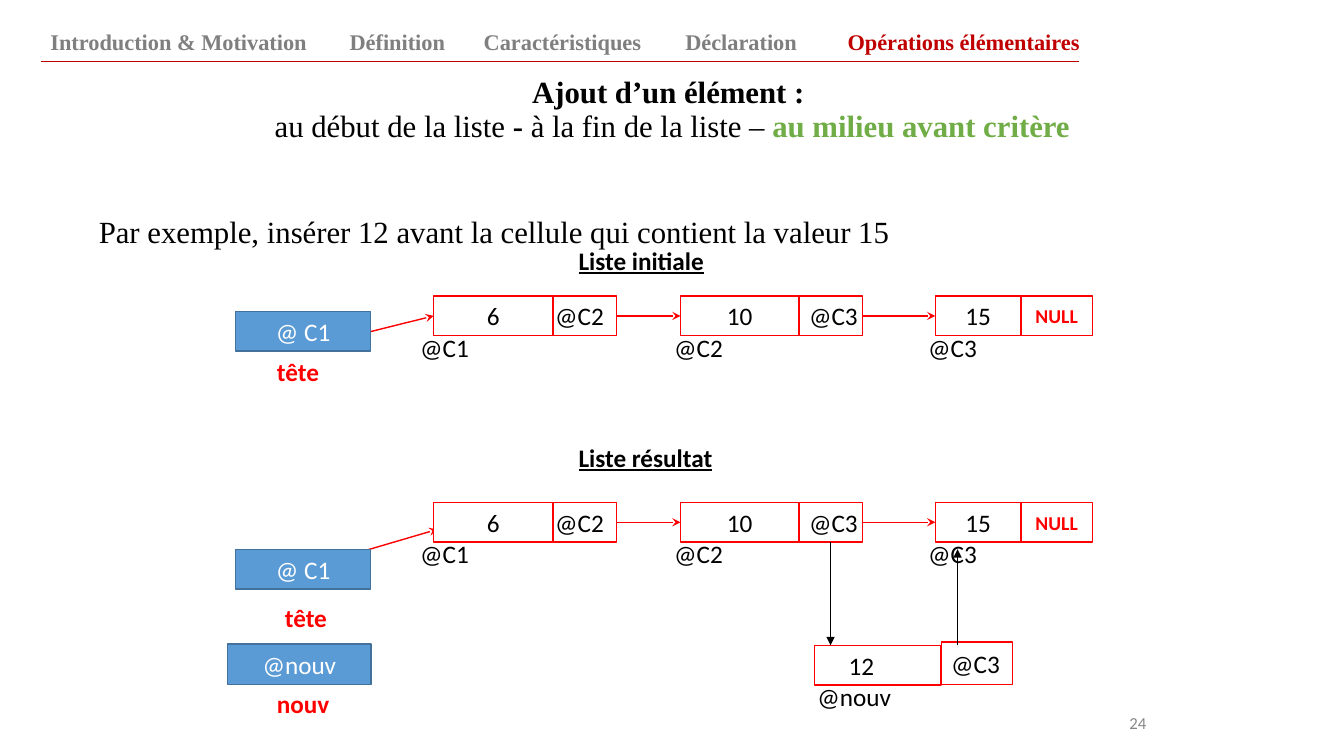
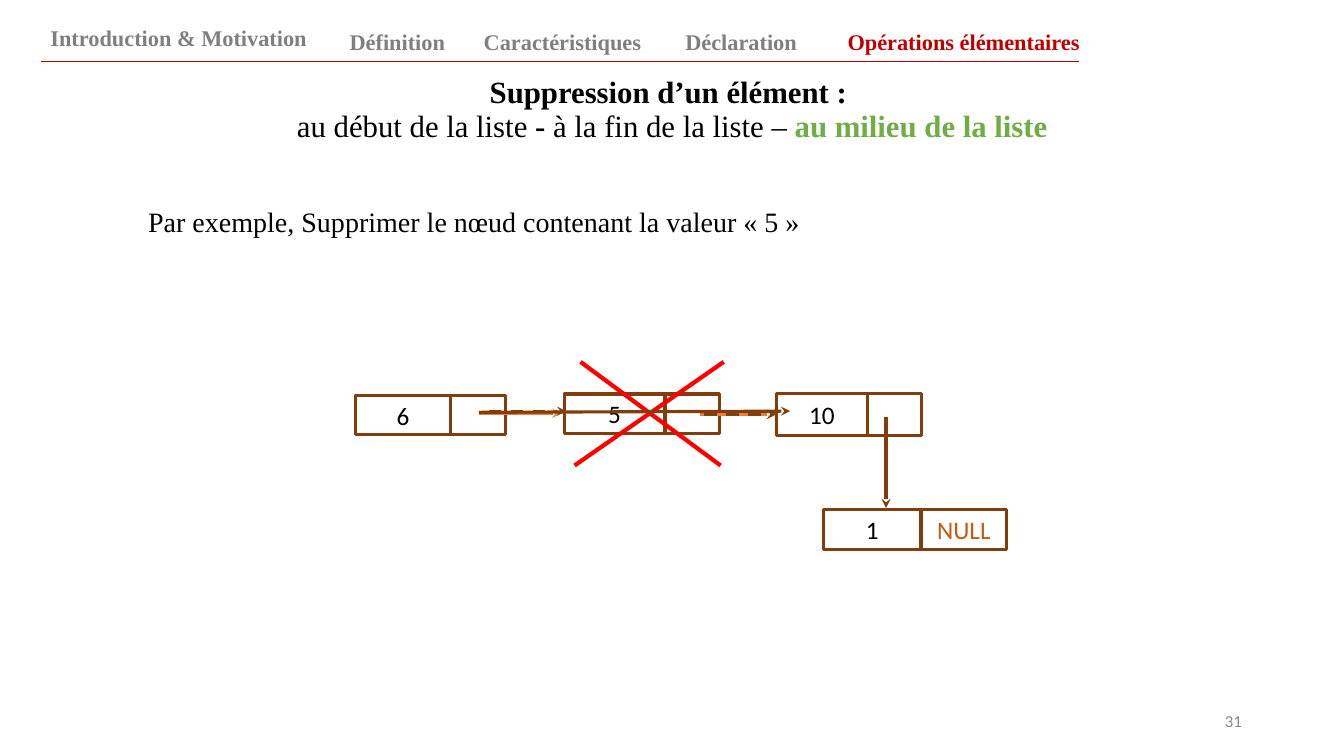
from lxml.etree import SubElement
from pptx import Presentation
from pptx.dml.color import RGBColor
from pptx.enum.dml import MSO_LINE
from pptx.enum.shapes import MSO_CONNECTOR, MSO_SHAPE
from pptx.enum.text import MSO_ANCHOR as ANCHOR, MSO_AUTO_SIZE, PP_ALIGN as ALIGN
from pptx.oxml.ns import qn
from pptx.util import Cm, Pt

BLACK = RGBColor(0x00, 0x00, 0x00)
WHITE = RGBColor(0xFF, 0xFF, 0xFF)
GREY = RGBColor(0x7F, 0x7F, 0x7F)
NUMBER_GREY = RGBColor(0x88, 0x88, 0x88)
RED = RGBColor(0xFF, 0x00, 0x00)
DARK_RED = RGBColor(0xC0, 0x00, 0x00)
GREEN = RGBColor(0x70, 0xAD, 0x47)
BLUE = RGBColor(0x5B, 0x9B, 0xD5)
DARK_BLUE = RGBColor(0x42, 0x71, 0x9B)
BROWN = RGBColor(0x83, 0x3C, 0x0B)
ORANGE = RGBColor(0xED, 0x7D, 0x31)
DARK_ORANGE = RGBColor(0xC5, 0x5A, 0x11)

SERIF, SANS = "Times New Roman", "Calibri"
CELL_H = 1.0
LABEL_H = 1.02
TITLE_ONLY, TITLE_AND_BODY = 5, 1

# Section name, left, width
SECTIONS = [
    ("Introduction & Motivation", 1.02, 7.57),
    ("Définition", 8.56, 3.15),
    ("Caractéristiques", 11.94, 4.85),
    ("Déclaration", 17.02, 3.43),
    ("Opérations élémentaires", 20.93, 6.71),
]


class Deck:
    """Style of the course slides and the slide being filled."""

    def __init__(self):
        self.prs = Presentation()
        self.prs.slide_width, self.prs.slide_height = Cm(33.87), Cm(19.05)
        self.slide = None

    def new_slide(self, layout, heading, places, chosen, number, number_box, intro_top=0.48):
        self.slide = self.prs.slides.add_slide(self.prs.slide_layouts[layout])
        self.navigation(intro_top)
        self.title(heading, places, chosen)
        self.text(number, *number_box, size=12, color=NUMBER_GREY,
                  align=ALIGN.RIGHT, anchor=ANCHOR.MIDDLE)

    def style(self, paragraph, size, color=BLACK, bold=False, name=SANS, align=ALIGN.LEFT):
        paragraph.alignment = align
        font = paragraph.font
        font.name, font.size, font.bold = name, Pt(size), bold
        font.color.rgb = color

    def place(self, shape, left, top, width, height):
        shape.left, shape.top = Cm(left), Cm(top)
        shape.width, shape.height = Cm(width), Cm(height)

    def navigation(self, intro_top):
        current = SECTIONS[-1][0]
        for section, left, width in SECTIONS:
            top = intro_top if section == SECTIONS[0][0] else 0.48
            active = section == current
            self.text(section, left, top, width, 1.04, size=16, bold=True, name=SERIF,
                      color=DARK_RED if active else GREY, anchor=ANCHOR.BOTTOM,
                      align=ALIGN.CENTER if active else ALIGN.LEFT)
        self.line((1.04, 1.55), (27.18, 1.55), DARK_RED, 0.75)

    def title(self, heading, places, chosen):
        title = self.slide.shapes.title
        self.place(title, 2.21, 1.73, 29.46, 2.11)
        frame = title.text_frame
        frame.auto_size, frame.vertical_anchor = MSO_AUTO_SIZE.NONE, ANCHOR.MIDDLE
        paragraph = frame.paragraphs[0]
        paragraph.line_spacing = 0.9
        self.style(paragraph, 22, name=SERIF, align=ALIGN.CENTER)
        first, second = places
        parts = [(heading, True), (first, False), ("- ", True), (second, False), (chosen, True)]
        for wording, bold in parts:
            run = paragraph.add_run()
            run.text, run.font.bold = wording, bold
            if wording == heading:
                paragraph.add_line_break()
        run.font.color.rgb = GREEN

    def body(self, wording, left, top, width, height, size):
        body = self.slide.placeholders[1]
        self.place(body, left, top, width, height)
        frame = body.text_frame
        frame.auto_size, frame.vertical_anchor = MSO_AUTO_SIZE.NONE, ANCHOR.TOP
        frame.text = wording
        paragraph = frame.paragraphs[0]
        paragraph.level, paragraph.line_spacing, paragraph.space_before = 1, 0.9, Pt(0)
        # Indented, without a bullet
        props = body.element.txBody.find(qn("a:p")).get_or_add_pPr()
        props.set("marL", str(Cm(1.27)))
        props.set("indent", "0")
        SubElement(props, qn("a:buNone"))
        self.style(paragraph, size, name=SERIF)

    def text(self, wording, left, top, width, height=LABEL_H, size=18,
             anchor=ANCHOR.TOP, underline=False, **style):
        frame = self.slide.shapes.add_textbox(
            Cm(left), Cm(top), Cm(width), Cm(height)).text_frame
        frame.word_wrap, frame.vertical_anchor = True, anchor
        frame.text = wording
        paragraph = frame.paragraphs[0]
        self.style(paragraph, size, **style)
        if underline:
            paragraph.font.underline = True

    def cell(self, wording, left, top, width, height=CELL_H, fill=WHITE, border=RED,
             weight=1, size=18, inset=None, **style):
        """Box with centred text, or left-aligned text when an inset is given."""
        box = self.slide.shapes.add_shape(
            MSO_SHAPE.RECTANGLE, Cm(left), Cm(top), Cm(width), Cm(height))
        box.shadow.inherit = False
        box.fill.solid()
        box.fill.fore_color.rgb = fill
        box.line.color.rgb, box.line.width = border, Pt(weight)
        if not wording:
            return
        frame = box.text_frame
        frame.vertical_anchor = ANCHOR.MIDDLE
        frame.text = wording
        if inset is not None:
            frame.margin_left, frame.margin_right = Cm(inset), Cm(0)
        self.style(frame.paragraphs[0], size,
                   align=ALIGN.CENTER if inset is None else ALIGN.LEFT, **style)

    def line(self, start, end, color, weight, tail=None, dashed=False):
        link = self.slide.shapes.add_connector(
            MSO_CONNECTOR.STRAIGHT, *map(Cm, start + end))
        link.line.color.rgb, link.line.width = color, Pt(weight)
        if dashed:
            link.line.dash_style = MSO_LINE.DASH
        props = link.element.spPr
        if tail:
            SubElement(props.find(qn("a:ln")), qn("a:tailEnd"), type=tail)
        SubElement(props, qn("a:effectLst"))

    def pointer(self, address, name, box, name_at):
        """Blue variable holding an address, with its name below."""
        self.cell(address, *box, fill=BLUE, border=DARK_BLUE, color=WHITE)
        self.text(name, *name_at, 2.26, color=RED, bold=True)

    def linked_list(self, top):
        """Three cells 6, 10, 15 chained by their addresses."""
        middle = top + CELL_H / 2
        for value, left, width in [("6", 10.93, 3), ("10", 17.15, 2.98), ("15", 23.57, 2.16)]:
            self.cell(value, left, top, width)
        for address, left, inset in [("@C2", 13.94, 0.05), ("@C3", 20.14, 0.25)]:
            self.cell(address, left, top, 1.6, inset=inset)
        self.cell("NULL", 25.73, top, 1.8, size=14, color=RED, bold=True)
        for start, end in [(15.54, 17.15), (21.74, 23.57)]:
            self.line((start, middle), (end, middle), RED, 1, "stealth")
        for index in range(3):
            self.text(f"@C{index + 1}", 10.34 + 6.4 * index, top + 0.78, 3.99)


def insertion_slide(deck):
    deck.new_slide(TITLE_ONLY, "Ajout d’un élément : ",
                   ("au début de la liste ", "à la fin de la liste – "),
                   "au milieu avant critère", "24", (23.42, 17.7, 5.72))
    deck.text("Par exemple, insérer 12 avant la cellule qui contient la valeur 15",
              2.24, 5.23, 24.41, 1.19, size=22, name=SERIF)
    for caption, top, width in [("Liste initiale", 6.05, 3.68), ("Liste résultat", 11.02, 4.06)]:
        deck.text(caption, 14.33, top, width, bold=True, underline=True)

    # Initial list
    deck.line((9.32, 8.36), (10.93, 7.96), RED, 1, "stealth")
    deck.linked_list(7.46)
    deck.pointer("@ C1", "tête", (5.94, 7.85, 3.4), (6.73, 8.86))

    # Resulting list
    deck.line((7.92, 14.25), (11.02, 13.34), RED, 1, "stealth")
    deck.linked_list(12.66)
    deck.pointer("@ C1", "tête", (5.94, 13.84, 3.4), (6.93, 15.06))

    # New cell and its links
    deck.pointer("@nouv", "nouv", (5.74, 16.23, 3.61, 1.02), (6.73, 17.22))
    deck.cell("@C3", 23.72, 16.18, 1.8, 1.07, inset=0.25)
    deck.cell("12", 20.52, 16.26, 3.2, inset=0.87)
    deck.text("@nouv", 20.35, 17.04, 2.79)
    for start, end in [((20.93, 13.67), (20.93, 16.26)), ((24.13, 16.26), (24.13, 13.84))]:
        deck.line(start, end, BLACK, 0.75, "triangle")


def deletion_slide(deck):
    deck.new_slide(TITLE_AND_BODY, "Suppression d’un élément : ",
                   ("au début de la liste ", "à la fin de la liste – "),
                   "au milieu de la liste", "31", (23.93, 17.65, 7.62), intro_top=0.36)
    deck.body("Par exemple, Supprimer le nœud contenant la valeur «\u00a05\u00a0»",
              2.21, 5.11, 23.16, 1.17, size=20)

    # Nodes: value, next, left, top, value width, next width, height
    nodes = [
        ("6", "", 8.97, 9.96, 2.38, 1.4, CELL_H),
        ("5", "", 14.22, 9.93, 2.54, 1.37, CELL_H),
        ("10", "", 19.56, 9.91, 2.31, 1.35, 1.07),
        ("1", "NULL", 20.75, 12.85, 2.46, 2.16, CELL_H),
    ]
    for value, following, left, top, value_w, next_w, height in nodes:
        deck.cell(value, left, top, value_w, height, border=BROWN, weight=2.25)
        deck.cell(following, left + value_w, top, next_w, height,
                  border=BROWN, weight=2.25, color=DARK_ORANGE)

    # Old links, then the link to the last node
    deck.line((12.07, 10.41), (14.15, 10.41), ORANGE, 2.25, "stealth")
    deck.line((17.65, 10.44), (19.56, 10.44), ORANGE, 2.25, "stealth")
    deck.line((22.33, 10.52), (22.33, 12.8), BROWN, 2.25, "stealth")
    deck.line((12.32, 10.36), (14.27, 10.36), BROWN, 2.25, "stealth", dashed=True)
    deck.line((17.75, 10.44), (19.56, 10.44), BROWN, 2.25, "stealth", dashed=True)

    # Cross over the deleted node and the new link past it
    deck.line((14.63, 9.12), (18.16, 11.73), RED, 3)
    deck.line((18.24, 9.12), (14.48, 11.73), RED, 3)
    deck.line((12.07, 10.39), (19.91, 10.36), BROWN, 2.25, "stealth")


def main():
    deck = Deck()
    insertion_slide(deck)
    deletion_slide(deck)
    deck.prs.save("out.pptx")


if __name__ == "__main__":
    main()
